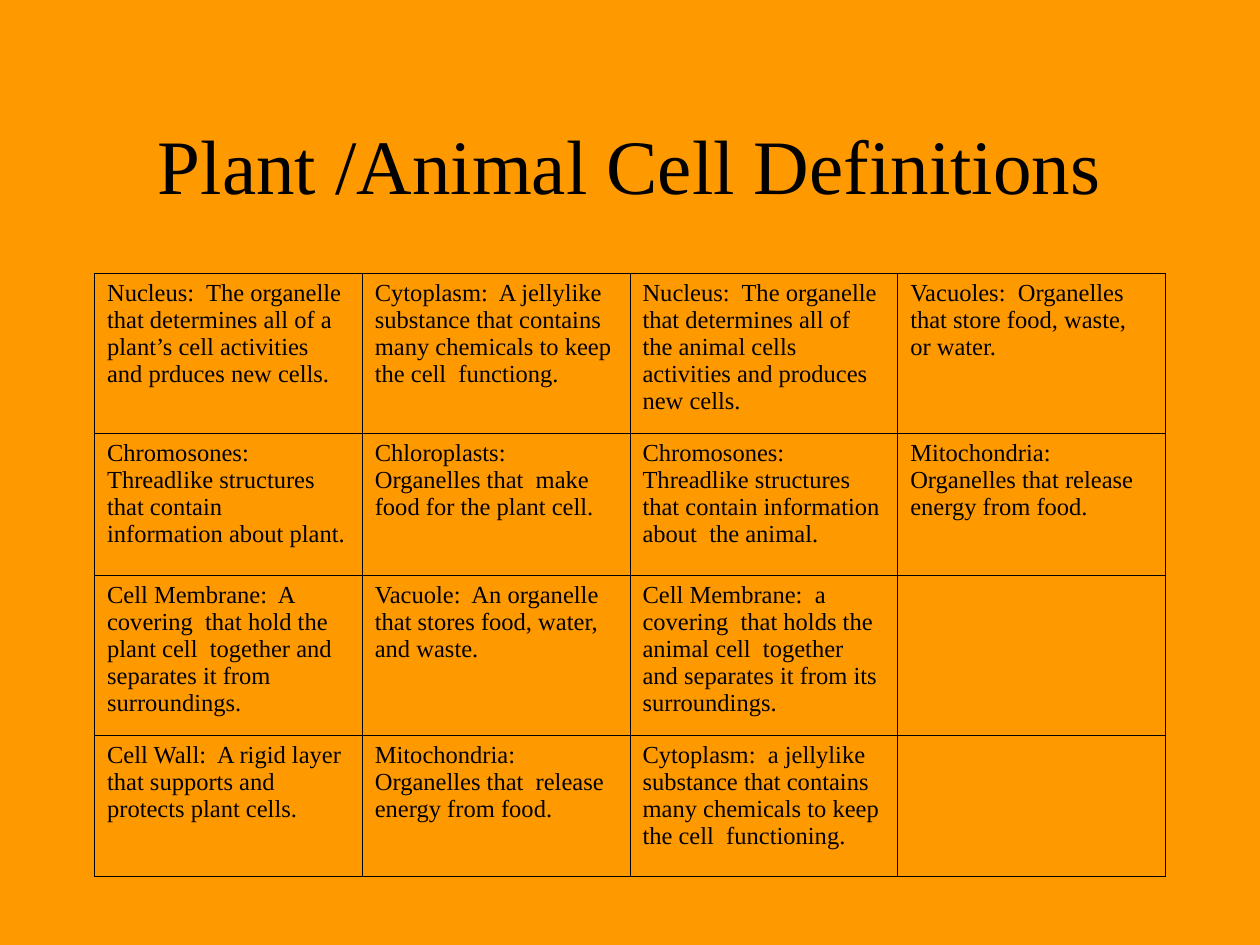
from pptx import Presentation
from pptx.dml.color import RGBColor
from pptx.enum.text import MSO_ANCHOR, PP_ALIGN
from pptx.oxml import parse_xml
from pptx.oxml.ns import nsdecls
from pptx.util import Inches, Pt

ROW_HEIGHTS = [1.26, 1.13, 1.26, 1.12]
DEFINITIONS = [
    ["Nucleus:  The organelle that determines all of a plant’s cell activities and prduces new cells.",
     "Cytoplasm:  A jellylike substance that contains many chemicals to keep the cell  functiong.",
     "Nucleus:  The organelle that determines all of the animal cells activities and produces new cells.",
     "Vacuoles:  Organelles that store food, waste, or water."],
    ["Chromosones:  Threadlike structures that contain  information about plant.",
     "Chloroplasts:  Organelles that  make food for the plant cell.",
     "Chromosones:  Threadlike structures that contain information about  the animal.",
     "Mitochondria:  Organelles that release energy from food."],
    ["Cell Membrane:  A covering  that hold the plant cell  together and separates it from surroundings.",
     "Vacuole:  An organelle that stores food, water, and waste.",
     "Cell Membrane:  a covering  that holds the animal cell  together and separates it from its surroundings.",
     ""],
    ["Cell Wall:  A rigid layer that supports and  protects plant cells.",
     "Mitochondria:  Organelles that  release energy from food.",
     "Cytoplasm:  a jellylike substance that contains many chemicals to keep the cell  functioning.",
     ""],
]


def color(hex_value):
    return RGBColor.from_string(hex_value)


class SlideBuilder:
    font_name = "Times New Roman"
    ink = "000000"
    paper = "FF9900"
    inner_line = 0.45
    outer_line = 1.08

    def __init__(self, prs):
        self.s = prs.slides.add_slide(prs.slide_layouts[6])
        fill = self.s.background.fill
        fill.solid()
        fill.fore_color.rgb = color(self.paper)

    def set_text(self, tf, text, size):
        p = tf.paragraphs[0]
        p.text = text
        for r in p.runs:
            r.font.name = self.font_name
            r.font.size = Pt(size)
            r.font.color.rgb = color(self.ink)
        return p

    def title(self, text, left, top, width, height):
        box = self.s.shapes.add_textbox(Inches(left), Inches(top), Inches(width), Inches(height))
        tf = box.text_frame
        tf.word_wrap = True
        tf.vertical_anchor = MSO_ANCHOR.MIDDLE
        self.set_text(tf, text, 44).alignment = PP_ALIGN.CENTER

    def border(self, cell, side, width):
        cell._tc.get_or_add_tcPr().append(parse_xml(
            f'<a:ln{side} {nsdecls("a")} w="{Pt(width)}"><a:solidFill>'
            f'<a:srgbClr val="{self.ink}"/></a:solidFill></a:ln{side}>'))

    def table(self, rows, heights, left, top, width):
        last_row, last_col = len(rows) - 1, len(rows[0]) - 1
        frame = self.s.shapes.add_table(len(rows), len(rows[0]), Inches(left), Inches(top),
                                        Inches(width), Inches(sum(heights)))
        table = frame.table
        table.first_row = table.horz_banding = False
        for row, height in zip(table.rows, heights):
            row.height = Inches(height)
        for i, texts in enumerate(rows):
            for j, text in enumerate(texts):
                cell = table.cell(i, j)
                self.set_text(cell.text_frame, text, 14)
                edges = {"L": j == 0, "R": j == last_col, "T": i == 0, "B": i == last_row}
                for side, is_outer in edges.items():
                    self.border(cell, side, self.outer_line if is_outer else self.inner_line)
                cell.fill.background()


def main():
    prs = Presentation()
    prs.slide_width, prs.slide_height = Inches(10), Inches(7.5)
    slide = SlideBuilder(prs)
    slide.title("Plant /Animal Cell Definitions", 0.75, 0.67, 8.5, 1.25)
    slide.table(DEFINITIONS, ROW_HEIGHTS, 0.75, 2.17, 8.5)
    prs.save("out.pptx")


if __name__ == "__main__":
    main()
